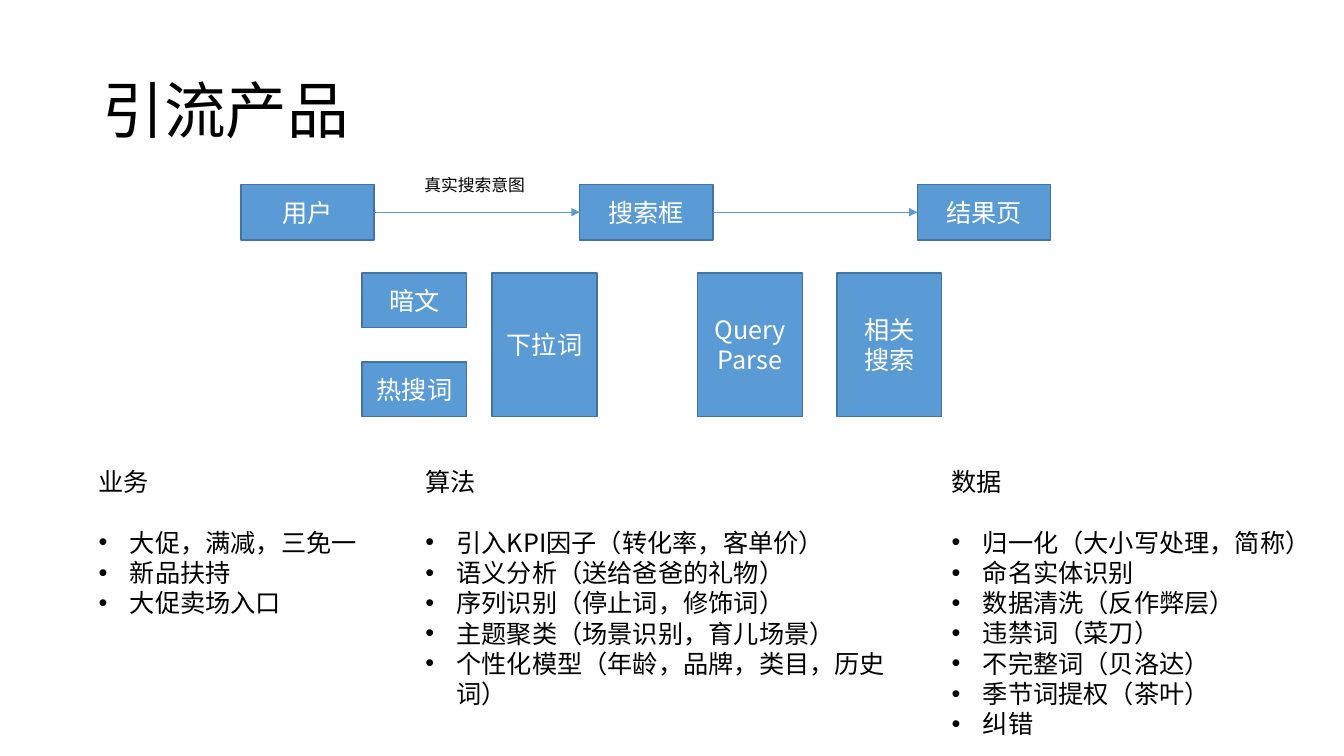
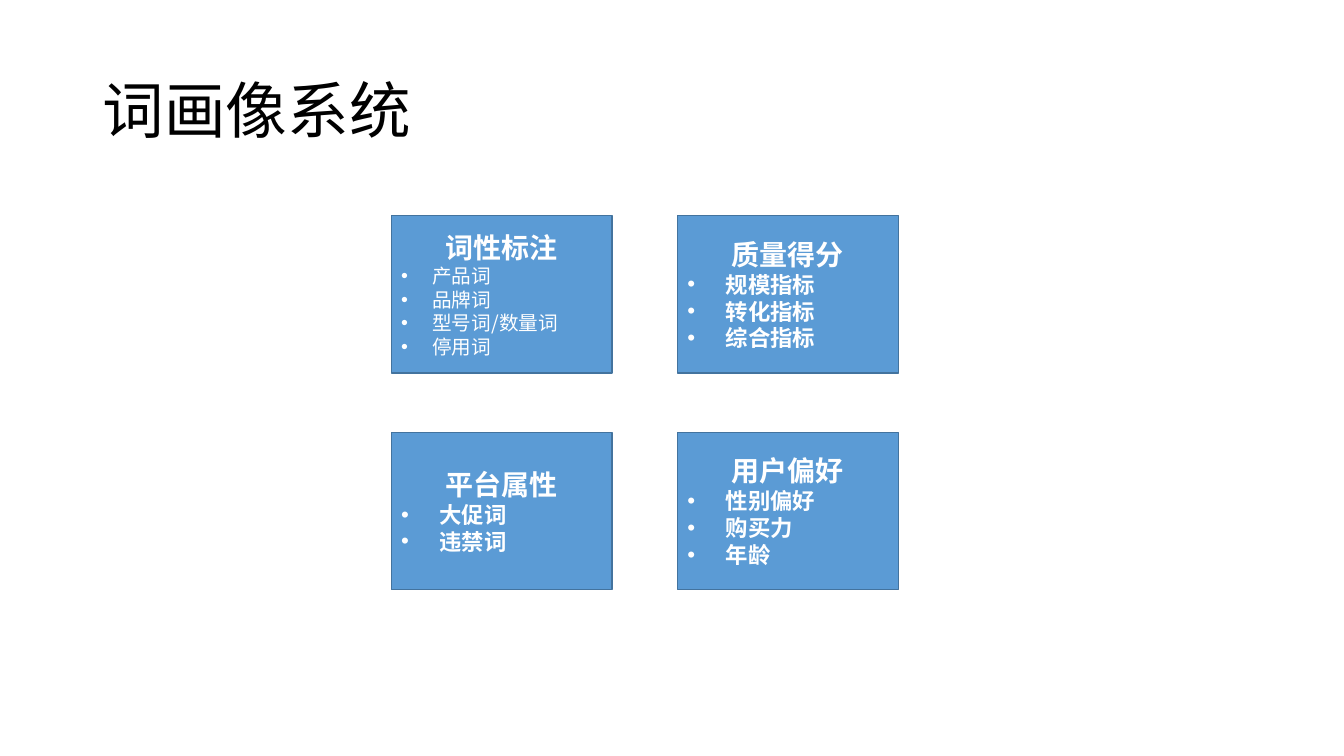
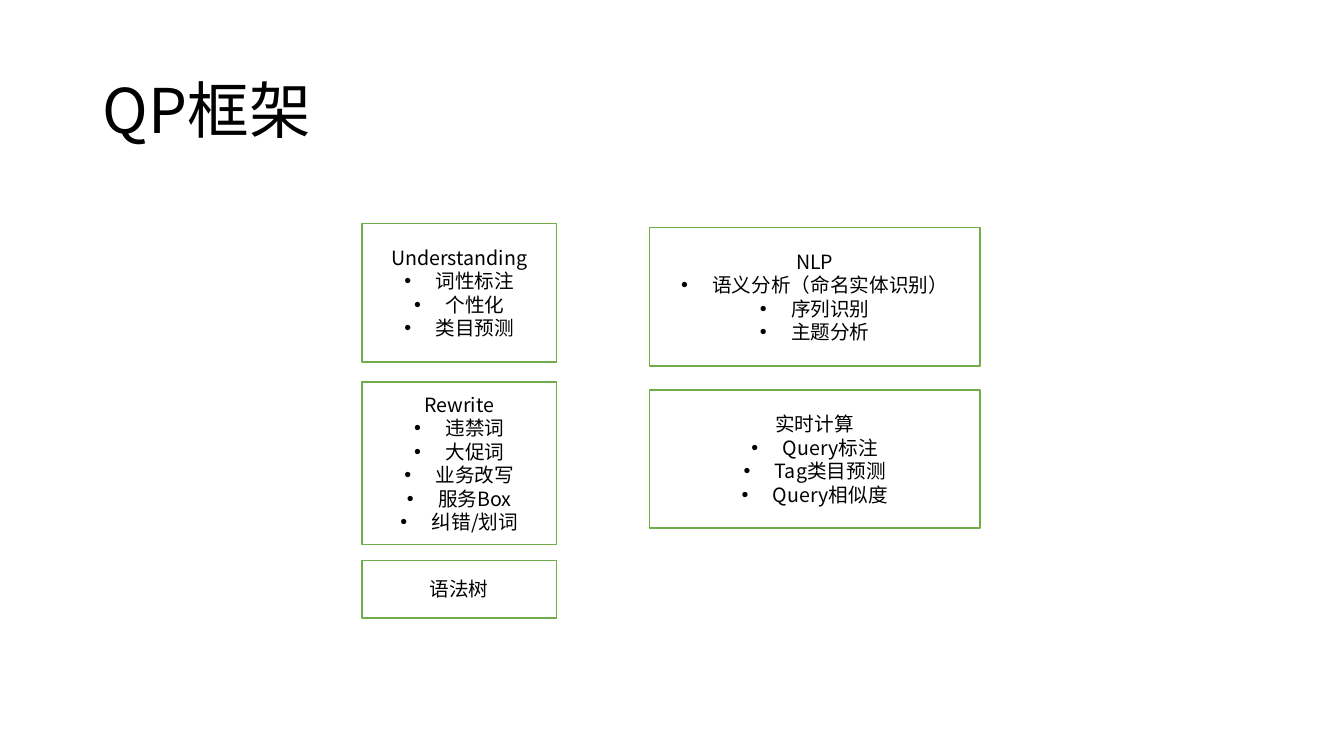
"""Build three slides on search guidance, word profiles and the QP framework."""
import lxml.etree
import pptx
import pptx.dml.color
import pptx.enum.shapes
import pptx.enum.text
import pptx.oxml.ns
import pptx.util

PX = 9144
FONT = "Noto Sans CJK SC"
COLORS = {
    "text": "000000",
    "white": "FFFFFF",
    "blue": "5B9BD5",
    "blue_edge": "43739E",
    "green": "70AD47",
}
BLUE_BOX = ("blue", "blue_edge", "white")
GREEN_BOX = ("white", "green", "text")
CENTER = pptx.enum.text.PP_ALIGN.CENTER
LEFT = pptx.enum.text.PP_ALIGN.LEFT
MIDDLE = pptx.enum.text.MSO_ANCHOR.MIDDLE


def px(*lengths):
    return [pptx.util.Emu(length * PX) for length in lengths]


def rgb(name):
    return pptx.dml.color.RGBColor.from_string(COLORS[name])


def add_xml(parent, tag, **attributes):
    return lxml.etree.SubElement(parent, pptx.oxml.ns.qn(tag), **attributes)


def write_line(paragraph, text, size, color="text", bold=False, align=LEFT):
    paragraph.text = text
    paragraph.alignment = align
    for run in paragraph.runs:
        run.font.size = pptx.util.Pt(size)
        run.font.bold = bold
        run.font.color.rgb = rgb(color)
        run.font.name = FONT
        add_xml(run.font._element, "a:ea", typeface=FONT)


def add_bullet(paragraph, indent):
    properties = paragraph._p.get_or_add_pPr()
    properties.set("marL", str(indent * PX))
    properties.set("indent", str(-indent * PX))
    add_xml(properties, "a:buFont", typeface="Arial")
    add_xml(properties, "a:buChar", char="•")


def write_items(frame, items, size, indent=31, **style):
    for item in items:
        paragraph = frame.add_paragraph()
        add_bullet(paragraph, indent)
        write_line(paragraph, item, size, **style)


def add_text(slide, area, text, size):
    frame = slide.shapes.add_textbox(*px(*area)).text_frame
    frame.word_wrap = True
    write_line(frame.paragraphs[0], text, size)
    return frame


def add_titled_slide(deck, title):
    slide = deck.slides.add_slide(deck.slide_layouts[6])
    frame = add_text(slide, (92, 40, 1150, 145), title, 44)
    frame.vertical_anchor = MIDDLE
    frame.paragraphs[0].line_spacing = 0.9
    return slide


def add_box(slide, area, lines, look, size, bold=False):
    fill, edge, color = look
    box = slide.shapes.add_shape(pptx.enum.shapes.MSO_SHAPE.RECTANGLE, *px(*area))
    box.shadow.inherit = False
    box.fill.solid()
    box.fill.fore_color.rgb = rgb(fill)
    box.line.color.rgb = rgb(edge)
    box.line.width = pptx.util.Pt(1)
    frame = box.text_frame
    frame.word_wrap = True
    frame.vertical_anchor = MIDDLE
    for number, line in enumerate(lines):
        paragraph = frame.add_paragraph() if number else frame.paragraphs[0]
        write_line(paragraph, line, size, color, bold, CENTER)
    return box


def add_arrow(slide, source, target):
    arrow = slide.shapes.add_connector(
        pptx.enum.shapes.MSO_CONNECTOR.STRAIGHT, 0, 0, 0, 0)
    arrow.begin_connect(source, 3)
    arrow.end_connect(target, 1)
    arrow.line.color.rgb = rgb("blue")
    arrow.line.width = pptx.util.Pt(0.5)
    add_xml(arrow.line._get_or_add_ln(), "a:tailEnd", type="triangle")
    add_xml(arrow._element.spPr, "a:effectLst")


def add_topic(slide, left, width, height, heading, items):
    frame = add_text(slide, (left, 458, width, height), heading, 18)
    frame.auto_size = pptx.enum.text.MSO_AUTO_SIZE.SHAPE_TO_FIT_TEXT
    frame.paragraphs[0].space_after = pptx.util.Pt(21.6)
    write_items(frame, items, 18)


def build_products(deck):
    slide = add_titled_slide(deck, "引流产品")
    user, search, results = [
        add_box(slide, (left, 183, 132, 55), [label], BLUE_BOX, 18)
        for left, label in ((239, "用户"), (575, "搜索框"), (910, "结果页"))]
    add_arrow(slide, user, search)
    add_arrow(slide, search, results)
    add_text(slide, (411, 168, 134, 30), "真实搜索意图", 12)
    for left, top, height, lines in (
            (359, 271, 54, ["暗文"]),
            (359, 359, 54, ["热搜词"]),
            (488, 271, 142, ["下拉词"]),
            (692, 271, 142, ["Query", "Parse"]),
            (830, 271, 142, ["相关", "搜索"])):
        add_box(slide, (left, top, 104, height), lines, BLUE_BOX, 18)
    add_topic(slide, 88, 304, 162, "业务",
              ["大促，满减，三免一", "新品扶持", "大促卖场入口"])
    add_topic(slide, 412, 523, 222, "算法", [
        "引入KPI因子（转化率，客单价）",
        "语义分析（送给爸爸的礼物）",
        "序列识别（停止词，修饰词）",
        "主题聚类（场景识别，育儿场景）",
        "个性化模型（年龄，品牌，类目，历史词）"])
    add_topic(slide, 934, 399, 283, "数据", [
        "归一化（大小写处理，简称）",
        "命名实体识别",
        "数据清洗（反作弊层）",
        "违禁词（菜刀）",
        "不完整词（贝洛达）",
        "季节词提权（茶叶）",
        "纠错"])


def build_profiles(deck):
    slide = add_titled_slide(deck, "词画像系统")
    profiles = (
        ("词性标注", ["产品词", "品牌词", "型号词/数量词", "停用词"], 14, 31, False),
        ("质量得分", ["规模指标", "转化指标", "综合指标"], 16, 38, True),
        ("平台属性", ["大促词", "违禁词"], 16, 38, True),
        ("用户偏好", ["性别偏好", "购买力", "年龄"], 16, 38, True))
    for number, (heading, items, size, indent, bold) in enumerate(profiles):
        row, column = divmod(number, 2)
        area = (388 + 284 * column, 214 + 215 * row, 219, 156)
        box = add_box(slide, area, [heading], BLUE_BOX, 20, bold=True)
        write_items(box.text_frame, items, size, indent, color="white", bold=bold)


def build_framework(deck):
    slide = add_titled_slide(deck, "QP框架")
    columns = (
        (359, 193, (
            (222, 137, "Understanding", ["词性标注", "个性化", "类目预测"]),
            (379, 161, "Rewrite",
             ["违禁词", "大促词", "业务改写", "服务Box", "纠错/划词"]),
            (556, 57, "语法树", []))),
        (644, 328, (
            (226, 137, "NLP", ["语义分析（命名实体识别）", "序列识别", "主题分析"]),
            (387, 137, "实时计算", ["Query标注", "Tag类目预测", "Query相似度"]))))
    for left, width, modules in columns:
        for top, height, heading, items in modules:
            box = add_box(slide, (left, top, width, height), [heading], GREEN_BOX, 14)
            write_items(box.text_frame, items, 14, align=CENTER)


def main():
    deck = pptx.Presentation()
    deck.slide_width, deck.slide_height = px(1333, 750)
    build_products(deck)
    build_profiles(deck)
    build_framework(deck)
    deck.save("out.pptx")


if __name__ == "__main__":
    main()
